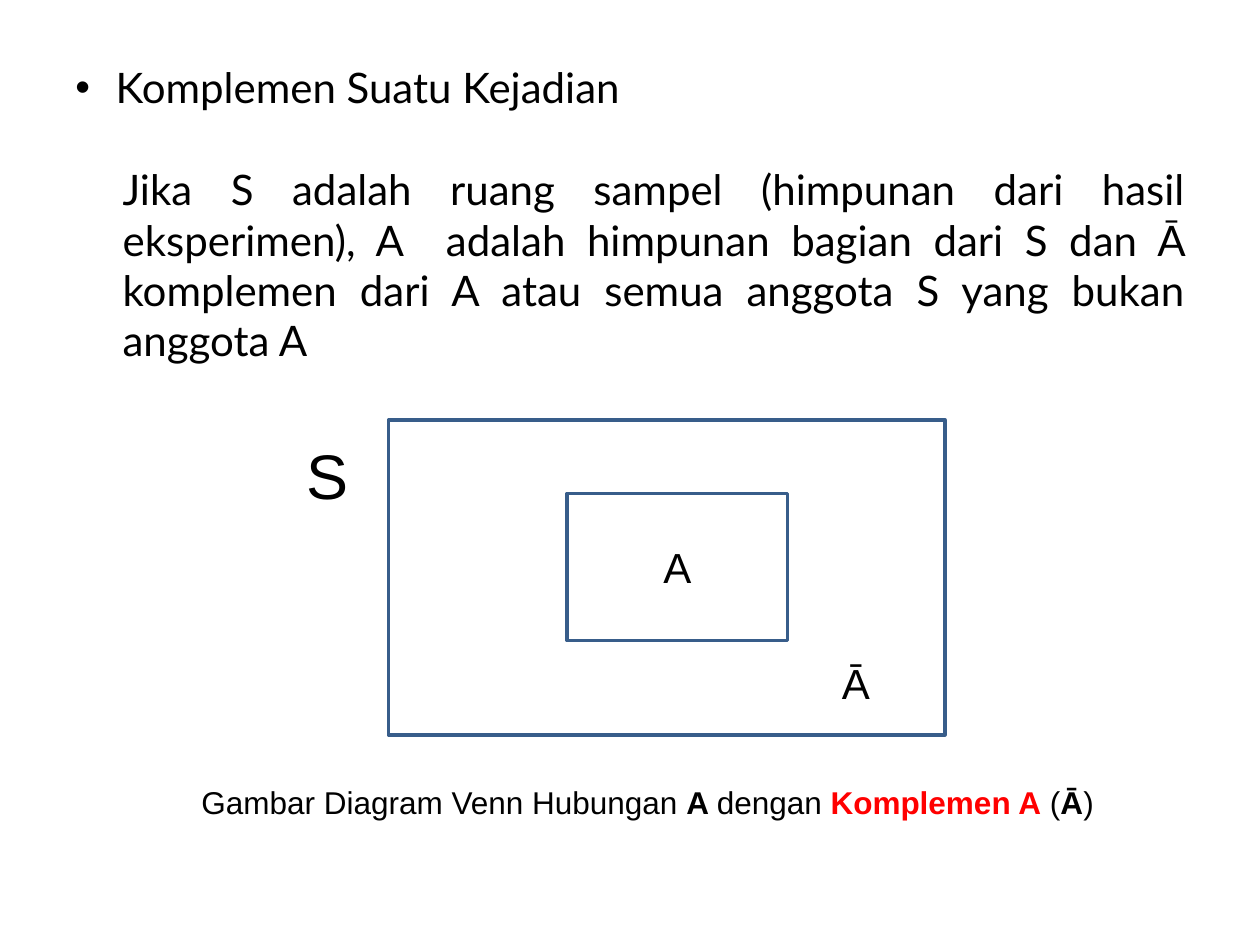
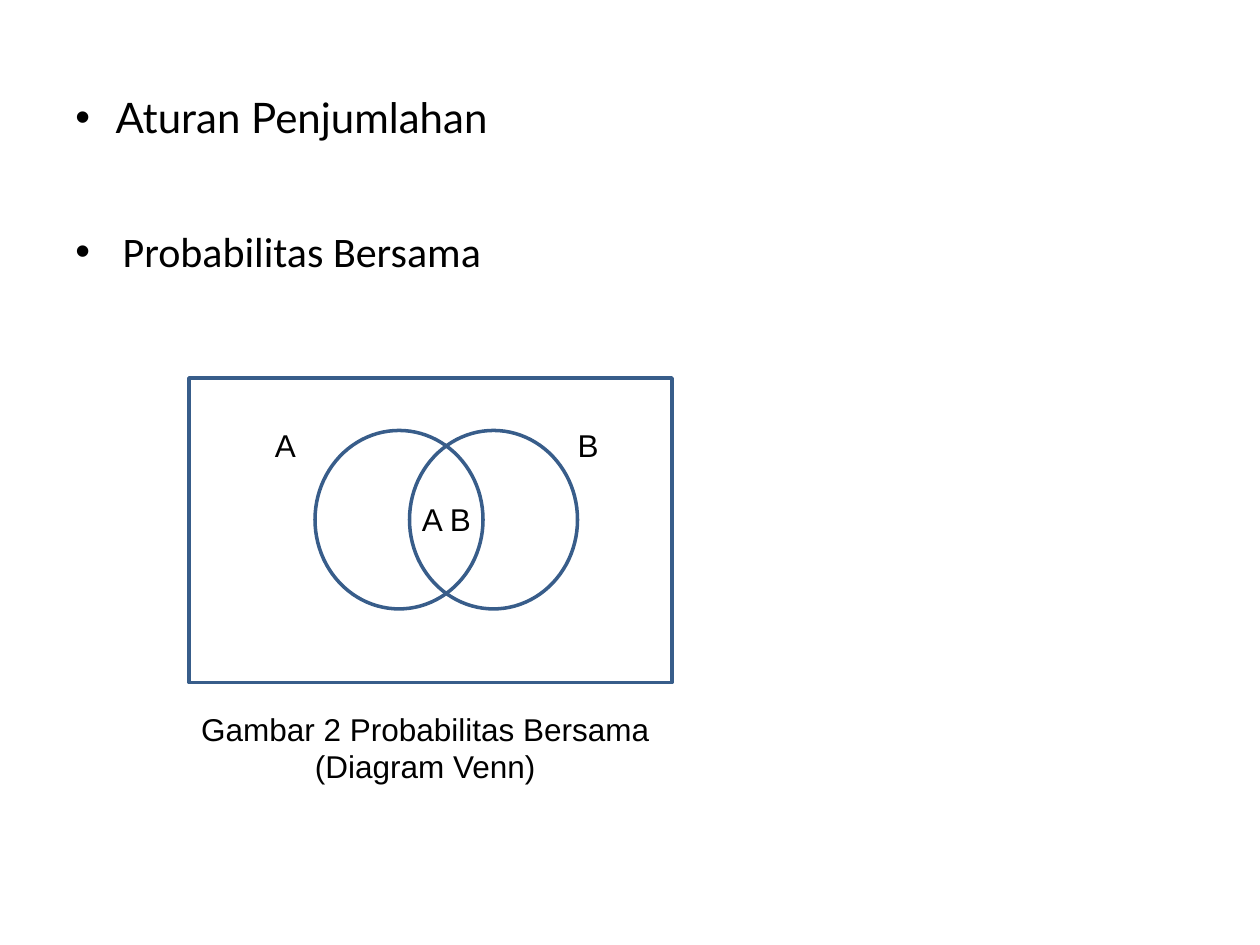
"""Builds two slides on complements and joint probability with Venn diagrams."""
from dataclasses import dataclass

from lxml.etree import SubElement
from pptx import Presentation as new_presentation
from pptx.dml.color import RGBColor
from pptx.enum.shapes import MSO_SHAPE as Preset
from pptx.enum.text import MSO_ANCHOR as Anchor, PP_ALIGN as Align
from pptx.oxml.ns import qn
from pptx.slide import Slide
from pptx.util import Pt

BLACK = "000000"
RED = "FF0000"
OUTLINE = "385D8A"
LABEL_FONT = "Arial"
BODY_FONT = "Lato"
MARGIN = 36
CONTENT_WIDTH = 648
TITLE_TOP = 21.6
TITLE_HANG = 23
BODY_HANG = 27


@dataclass(frozen=True)
class Box:
    """Position and size in points."""
    left: float
    top: float
    width: float
    height: float


@dataclass(frozen=True)
class Run:
    """A stretch of text with its emphasis."""
    text: str
    bold: bool = False
    color: str = BLACK


@dataclass(frozen=True)
class Outline:
    """An unfilled outlined part of a Venn diagram."""
    box: Box
    preset: Preset = Preset.RECTANGLE


@dataclass(frozen=True)
class TextBlock:
    """A one-paragraph text box."""
    box: Box
    runs: tuple[Run, ...]
    size: float = 18
    font: str = LABEL_FONT
    align: Align = Align.LEFT
    anchor: Anchor = Anchor.TOP
    margin: float = 0
    bullet: bool = False


def rgb(color: str) -> RGBColor:
    """Turns a hex string into a colour."""
    return RGBColor.from_string(color)


def place(box: Box) -> tuple[Pt, Pt, Pt, Pt]:
    """Returns the box as lengths."""
    return Pt(box.left), Pt(box.top), Pt(box.width), Pt(box.height)


def draw_outline(slide: Slide, outline: Outline) -> None:
    """Draws an outlined shape without fill."""
    shape = slide.shapes.add_shape(outline.preset, *place(outline.box))
    shape.shadow.inherit = False
    shape.fill.background()
    shape.line.color.rgb = rgb(OUTLINE)
    shape.line.width = Pt(2)


def draw_text(slide: Slide, block: TextBlock) -> None:
    """Draws a text box run by run."""
    frame = slide.shapes.add_textbox(*place(block.box)).text_frame
    frame.word_wrap = True
    frame.vertical_anchor = block.anchor
    paragraph = frame.paragraphs[0]
    paragraph.alignment = block.align
    properties = paragraph._p.get_or_add_pPr()
    properties.set("marL", str(Pt(block.margin)))
    if block.bullet:
        properties.set("indent", str(-Pt(block.margin)))
        SubElement(properties, qn("a:buFont")).set("typeface", LABEL_FONT)
        SubElement(properties, qn("a:buChar")).set("char", "•")
    for part in block.runs:
        run = paragraph.add_run()
        run.text = part.text
        run.font.name = block.font
        run.font.size = Pt(block.size)
        run.font.bold = part.bold
        run.font.color.rgb = rgb(part.color)


def title(text: str, height: float) -> TextBlock:
    """Describes the bulleted slide title."""
    return TextBlock(Box(MARGIN, TITLE_TOP, CONTENT_WIDTH, height), (Run(text),), 24, BODY_FONT,
                     Align.JUSTIFY, Anchor.MIDDLE, TITLE_HANG, True)


def body(text: str, top: float, height: float, font: str, bullet: bool = False) -> TextBlock:
    """Describes a justified body paragraph."""
    return TextBlock(Box(MARGIN, top, CONTENT_WIDTH, height), (Run(text),), 24, font,
                     Align.JUSTIFY, margin=BODY_HANG, bullet=bullet)


def label(text: str, left: float, top: float, width: float = 54, size: float = 18) -> TextBlock:
    """Describes a diagram label."""
    return TextBlock(Box(left, top, width, size * 1.2 + 7.2), (Run(text),), size)


COMPLEMENT = (
    title("Komplemen Suatu Kejadian", 56),
    body("Jika S adalah ruang sampel (himpunan dari hasil eksperimen), "
         "A  adalah himpunan bagian dari S dan Ā komplemen dari A atau "
         "semua anggota S yang bukan anggota A", 90, 130, BODY_FONT),
    Outline(Box(222, 240, 318, 180)),
    label("S", 168, 246, 40, 36),
    Outline(Box(324, 282, 126, 84)),
    label("A", 372, 306, 42, 24),
    label("Ā", 474, 372, size=24),
    TextBlock(Box(108, 444, 588, 29), (
        Run("Gambar Diagram Venn Hubungan "),
        Run("A ", True),
        Run("dengan "),
        Run("Komplemen A", True, RED),
        Run(" ("),
        Run("Ā", True),
        Run(")"),
    )),
)

JOINT_PROBABILITY = (
    title("Aturan Penjumlahan", 90),
    body("Probabilitas Bersama", 125.3, 40, "Calibri", True),
    Outline(Box(108, 216, 276, 174)),
    *(Outline(Box(left, 246, 96, 102), Preset.OVAL) for left in (180, 234)),
    label("A B", 234, 282),
    label("A", 150, 240),
    label("B", 323, 240),
    TextBlock(Box(96, 402, 294, 50), (Run("Gambar 2 Probabilitas Bersama (Diagram Venn)"),),
              align=Align.CENTER),
)


def main() -> None:
    """Builds and saves the presentation."""
    presentation = new_presentation()
    presentation.slide_width = Pt(720)
    presentation.slide_height = Pt(540)
    for elements in (COMPLEMENT, JOINT_PROBABILITY):
        slide = presentation.slides.add_slide(presentation.slide_layouts[6])
        for element in elements:
            if isinstance(element, Outline):
                draw_outline(slide, element)
            else:
                draw_text(slide, element)
    presentation.save("out.pptx")


if __name__ == "__main__":
    main()
